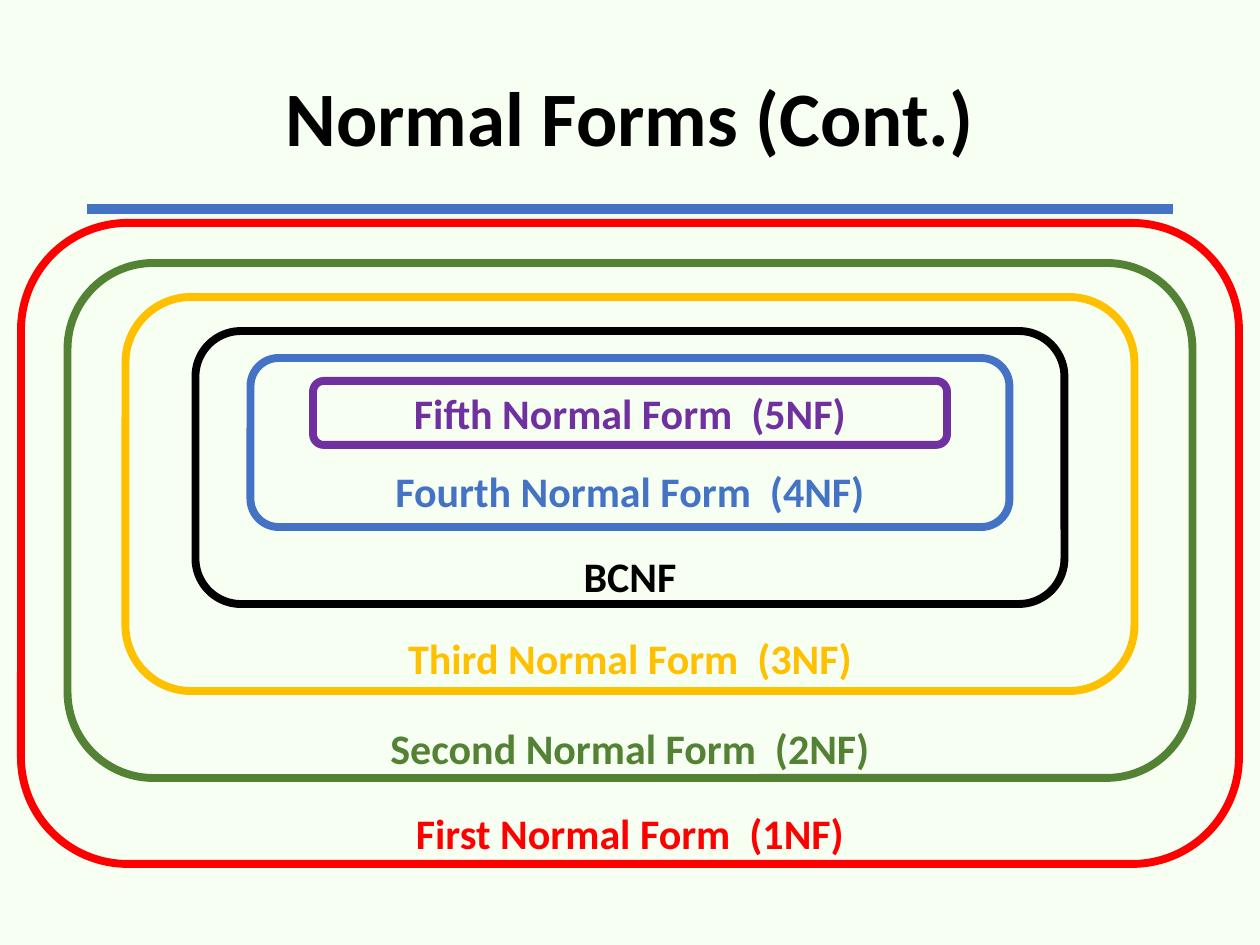
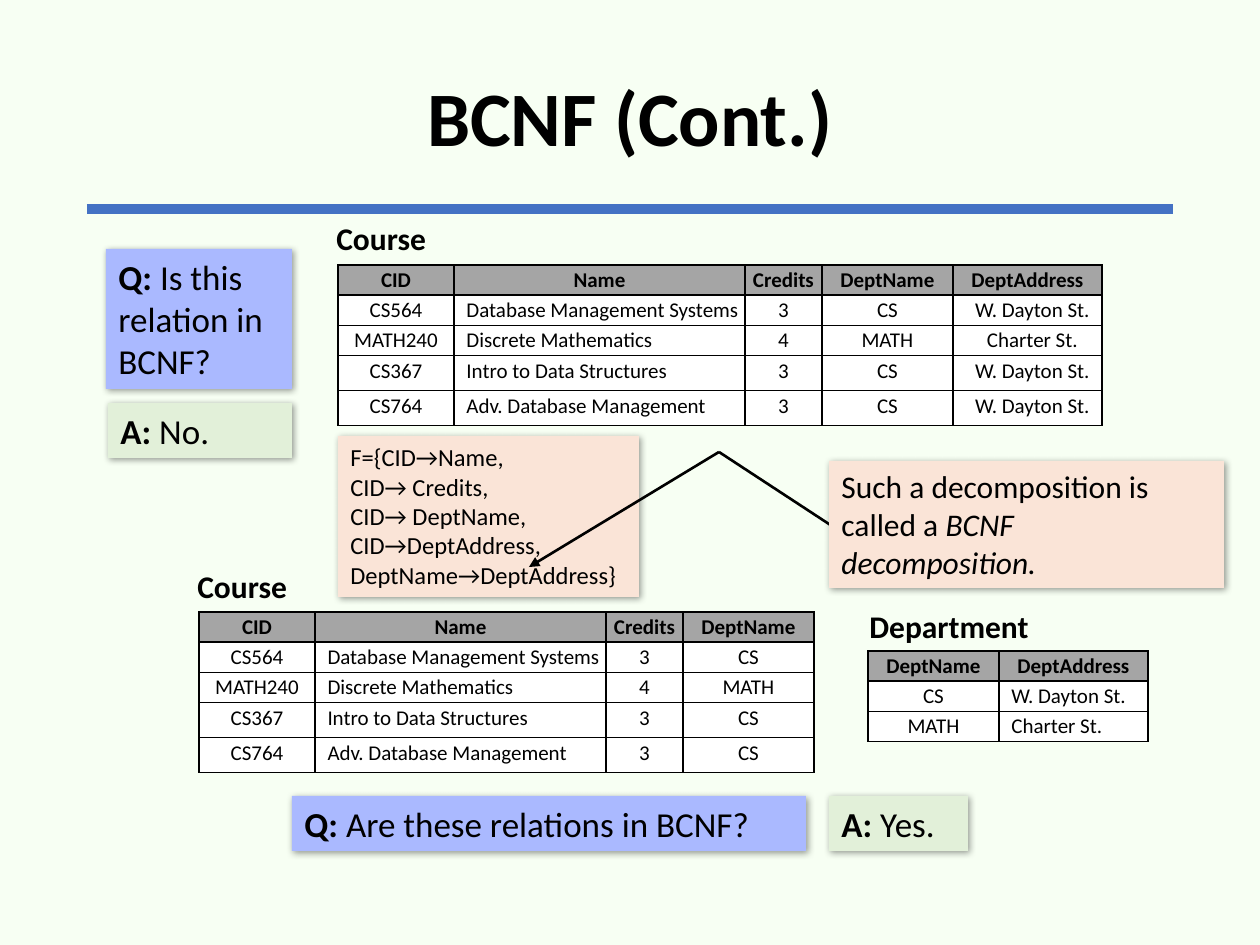
from lxml import etree
from pptx import Presentation
from pptx import util as u
from pptx.dml.color import RGBColor
from pptx.enum import shapes, text
from pptx.oxml.ns import qn

PX = 914400 / 126
FONT = "Calibri"
BLACK, WHITE, GREY = "000000", "FFFFFF", "A5A5A5"
PAPER, BLUE = "F7FFF3", "4472C4"
ASK, REPLY, NOTE = "AAB9FF", "E2F0D9", "FAE4D7"
MID, LEFT = text.PP_ALIGN.CENTER, text.PP_ALIGN.LEFT

# label, colour, ring top, width, height, label top
FORMS = [
    ("First Normal Form  (1NF)", "FF0000", 223, 1218, 641, 801),
    ("Second Normal Form  (2NF)", "548235", 263, 1125, 515, 716),
    ("Third Normal Form  (3NF)", "FFC000", 297, 1009, 394, 626),
    ("BCNF", BLACK, 331, 869, 273, 544),
    ("Fourth Normal Form  (4NF)", BLUE, 358, 759, 169, 459),
    ("Fifth Normal Form  (5NF)", "7030A0", 381, 634, 64, 381),
]
LABEL_W, LABEL_H = 776, 64

COURSES = [
    ("CID", "Name", "Credits", "DeptName", "DeptAddress"),
    ("CS564", "Database Management Systems", "3", "CS", "W. Dayton St."),
    ("MATH240", "Discrete Mathematics", "4", "MATH", "Charter St."),
    ("CS367", "Intro to Data Structures", "3", "CS", "W. Dayton St."),
    ("CS764", "Adv. Database Management", "3", "CS", "W. Dayton St."),
]
WIDTHS = dict(zip(COURSES[0], (116, 291, 77, 131, 149)))
HEIGHTS = (30, 30, 30, 35, 35)
INDENT = 10
INDENTED = ("Name", "DeptAddress")

# name, label place, table place, first and last column, left-aligned columns
TABLES = [
    ("Course", (324, 213), (338, 265), (0, 5), ("Name",)),
    ("Course", (185, 561), (199, 612), (0, 4), ("Name",)),
    ("Department", (857, 601), (868, 651), (3, 5), ("DeptAddress",)),
]

DEPENDS = ["F={CID→Name,", "CID→ Credits,", "CID→ DeptName,",
           "CID→DeptAddress,", "DeptName→DeptAddress}"]
FORK, TIPS = (719, 452), [(529, 567), (916, 581)]

# fill, place, font size, runs of (text, style)
CARDS = [
    (ASK, (106, 249, 186, 140), 20,
     [("Q: ", "b"), ("Is this relation in BCNF?", "")]),
    (REPLY, (108, 403, 184, 55), 20, [("A:", "b"), (" No.", "")]),
    (ASK, (292, 796, 514, 55), 20,
     [("Q: ", "b"), ("Are these relations in BCNF?", "")]),
    (REPLY, (829, 796, 139, 55), 20, [("A:", "b"), (" Yes.", "")]),
    (NOTE, (829, 461, 395, 127), 18,
     [("Such a decomposition is called a ", ""), ("BCNF decomposition.", "i")]),
]


def px(*nums):
    return [round(n * PX) for n in nums]


def hue(code):
    return RGBColor.from_string(code)


def paint(fill, code):
    fill.solid()
    fill.fore_color.rgb = hue(code)


def style(para, size, code=BLACK, bold=None, align=LEFT):
    para.alignment = align
    font = para.font
    font.name, font.size, font.bold = FONT, u.Pt(size), bold
    font.color.rgb = hue(code)


def write(frame, lines, size, **look):
    """Fill a frame; each line is a string or a list of (text, style) runs."""
    frame.word_wrap = True
    for i, line in enumerate(lines):
        para = frame.add_paragraph() if i else frame.paragraphs[0]
        for words, mark in [(line, "")] if isinstance(line, str) else line:
            run = para.add_run()
            run.text = words
            if mark == "b":
                run.font.bold = True
            if mark == "i":
                run.font.italic = True
        style(para, size, **look)


def label(slide, place, words, size, **look):
    frame = slide.shapes.add_textbox(*px(*place)).text_frame
    write(frame, [words], size, bold=True, **look)
    return frame


def link(slide, start, end, code, width, arrow=False):
    line = slide.shapes.add_connector(
        shapes.MSO_CONNECTOR.STRAIGHT, *px(*start, *end))
    line.line.color.rgb = hue(code)
    line.line.width = u.Pt(width)
    if arrow:
        etree.SubElement(line.line._get_or_add_ln(), qn("a:tailEnd"),
                         type="triangle")
    etree.SubElement(line._element.spPr, qn("a:effectLst"))


def ring(slide, place, code):
    shape = slide.shapes.add_shape(
        shapes.MSO_SHAPE.ROUNDED_RECTANGLE, *px(*place))
    shape.shadow.inherit = False
    shape.fill.background()
    shape.line.color.rgb = hue(code)
    shape.line.width = u.Pt(4.5)


def card(slide, fill, place, size, lines):
    """Draw a filled text box with a soft shadow."""
    shape = slide.shapes.add_shape(shapes.MSO_SHAPE.RECTANGLE, *px(*place))
    shape.shadow.inherit = False
    paint(shape.fill, fill)
    shape.line.fill.background()
    shade = etree.SubElement(
        shape._element.spPr.find(qn("a:effectLst")), qn("a:outerShdw"),
        blurRad="50800", dist="12700", dir="2700000", algn="tl",
        rotWithShape="0")
    tint = etree.SubElement(shade, qn("a:srgbClr"), val=BLACK)
    etree.SubElement(tint, qn("a:alpha"), val="40000")
    shape.text_frame.vertical_anchor = text.MSO_ANCHOR.TOP
    write(shape.text_frame, lines, size)


def edge(cell):
    """Give a cell a thin black border; borders go ahead of the fill."""
    props = cell._tc.get_or_add_tcPr()
    for i, side in enumerate(("lnL", "lnR", "lnT", "lnB")):
        line = etree.Element(qn("a:" + side), w="12700")
        fill = etree.SubElement(line, qn("a:solidFill"))
        etree.SubElement(fill, qn("a:srgbClr"), val=BLACK)
        props.insert(i, line)


def grid(slide, place, rows, lefts):
    heads = rows[0]
    wide = sum(WIDTHS[head] for head in heads)
    high = sum(HEIGHTS[:len(rows)])
    table = slide.shapes.add_table(
        len(rows), len(heads), *px(*place, wide, high)).table
    table.first_row = table.horz_banding = False
    for col, head in zip(table.columns, heads):
        col.width, = px(WIDTHS[head])
    for r, row in enumerate(rows):
        table.rows[r].height, = px(HEIGHTS[r])
        for c, (head, words) in enumerate(zip(heads, row)):
            cell = table.cell(r, c)
            cell.margin_left = cell.margin_right = u.Inches(0.02)
            cell.margin_top = cell.margin_bottom = u.Inches(0.02)
            paint(cell.fill, WHITE if r else GREY)
            edge(cell)
            para = cell.text_frame.paragraphs[0]
            para.text = words
            if r and head in INDENTED:
                para._p.get_or_add_pPr().set("marL", str(px(INDENT)[0]))
            style(para, 12, bold=not r,
                  align=LEFT if r and head in lefts else MID)


def begin(deck, title):
    """Add a slide with the shared background, rule and title."""
    slide = deck.slides.add_slide(deck.slide_layouts[6])
    paint(slide.background.fill, PAPER)
    link(slide, (87, 209), (1173, 209), BLUE, 6)
    frame = label(slide, (87, 30, 1086, 183), title, 44, align=MID)
    frame.vertical_anchor = text.MSO_ANCHOR.MIDDLE
    frame.paragraphs[0].line_spacing = 0.9
    return slide


def nest(deck):
    slide = begin(deck, "Normal Forms (Cont.)")
    for words, code, top, wide, high, base in FORMS:
        ring(slide, (630 - wide / 2, top, wide, high), code)
        label(slide, (630 - LABEL_W / 2, base, LABEL_W, LABEL_H), words, 24,
              code=code, align=MID)


def split(deck):
    slide = begin(deck, "BCNF (Cont.)")
    card(slide, NOTE, (338, 436, 301, 161), 14, DEPENDS)
    for name, spot, place, (first, last), lefts in TABLES:
        rows = list(dict.fromkeys(row[first:last] for row in COURSES))
        grid(slide, place, rows, lefts)
        label(slide, (*spot, 199, 50), name, 18)
    for tip in TIPS:
        link(slide, FORK, tip, BLACK, 1.5, arrow=True)
    for fill, place, size, runs in CARDS:
        card(slide, fill, place, size, [runs])


def main():
    deck = Presentation()
    deck.slide_width, deck.slide_height = px(1260, 945)
    nest(deck)
    split(deck)
    deck.save("out.pptx")


if __name__ == "__main__":
    main()
